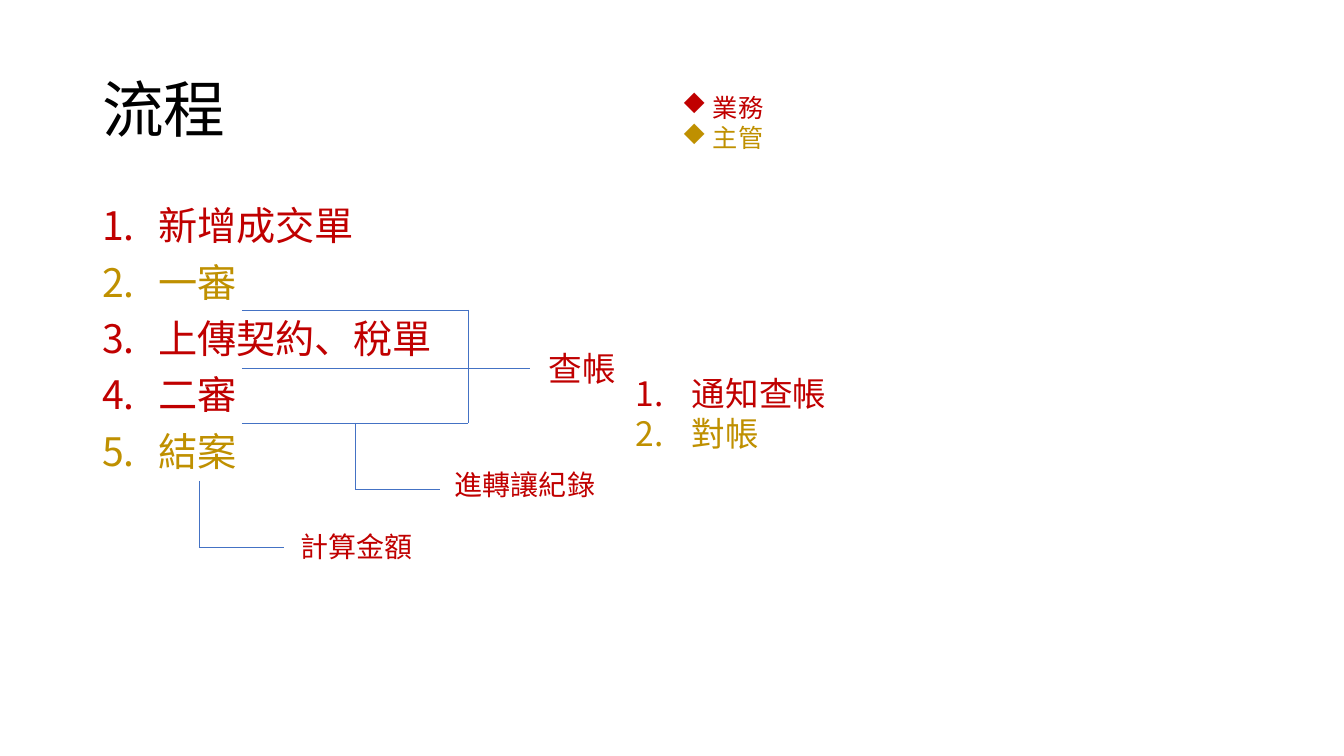
from dataclasses import dataclass

from lxml import etree
from pptx import Presentation
from pptx import util as u
from pptx.dml.color import RGBColor
from pptx.enum import shapes, text
from pptx.oxml import ns

PIXEL = 914400 / 100.8


@dataclass(frozen=True)
class Theme:
    """Colours, font and type sizes of the slide."""
    black: RGBColor = RGBColor(0x00, 0x00, 0x00)
    sales: RGBColor = RGBColor(0xC0, 0x00, 0x00)
    manager: RGBColor = RGBColor(0xBF, 0x90, 0x00)
    line: RGBColor = RGBColor(0x44, 0x72, 0xC4)
    font: str = "Calibri"
    title: int = 44
    body: int = 28
    branch: int = 24
    note: int = 20
    legend: int = 18


theme = Theme()
NUMBERS = [("buFont", {"typeface": "+mj-lt"}), ("buAutoNum", {"type": "arabicPeriod"})]
DIAMONDS = [("buFont", {"typeface": "Wingdings"}), ("buChar", {"char": "u"})]


def px(*lengths):
    """Turn pixels into a list of EMU lengths."""
    return [u.Emu(round(length * PIXEL)) for length in lengths]


def write(shape, box, lines, size, bullet=(), indent=0, spacing=1.0, before=0):
    """Place a shape and fill it with (wording, colour) paragraphs."""
    shape.left, shape.top, shape.width, shape.height = px(*box)
    frame = shape.text_frame
    frame.word_wrap = True
    frame.auto_size = text.MSO_AUTO_SIZE.NONE
    frame.text = "\n".join(wording for wording, _ in lines)
    for paragraph, (_, colour) in zip(frame.paragraphs, lines):
        properties = paragraph._p.get_or_add_pPr()
        if bullet:
            margin = px(indent)[0]
            properties.set("marL", str(margin))
            properties.set("indent", str(-margin))
        for tag, attributes in bullet:
            etree.SubElement(properties, ns.qn(f"a:{tag}"), attributes)
        paragraph.alignment = text.PP_ALIGN.LEFT
        paragraph.line_spacing = spacing
        paragraph.space_before = u.Pt(before)
        paragraph.font.name = theme.font
        paragraph.font.size = u.Pt(size)
        paragraph.font.color.rgb = colour


presentation = Presentation()
presentation.slide_width, presentation.slide_height = px(1344, 756)
slide = presentation.slides.add_slide(presentation.slide_layouts[1])

# Title and main steps
title, steps = slide.placeholders
write(title, (92, 40, 1159, 146), [("流程", theme.black)], theme.title, spacing=0.9)
title.text_frame.vertical_anchor = text.MSO_ANCHOR.MIDDLE
write(steps, (92, 202, 1159, 480), [
    ("新增成交單", theme.sales),
    ("一審", theme.manager),
    ("上傳契約、稅單", theme.sales),
    ("二審", theme.sales),
    ("結案", theme.manager),
], theme.body, NUMBERS, indent=56, spacing=0.9, before=10)

# Legend, audit branch and notes
legend = [("業務", theme.sales), ("主管", theme.manager)]
audit_steps = [("通知查帳", theme.sales), ("對帳", theme.manager)]
for box, lines, size, bullet, indent in [
    ((672, 87, 221, 72), legend, theme.legend, DIAMONDS, 31),
    ((539, 343, 155, 50), [("查帳", theme.sales)], theme.branch, (), 0),
    ((626, 368, 395, 92), audit_steps, theme.branch, NUMBERS, 56),
    ((445, 463, 214, 44), [("進轉讓紀錄", theme.sales)], theme.note, (), 0),
    ((291, 525, 214, 44), [("計算金額", theme.sales)], theme.note, (), 0),
]:
    write(slide.shapes.add_textbox(*px(*box)), box, lines, size, bullet, indent)

# Bracket after steps 2 to 4, then an elbow down to each note
bracket_left, bracket_right = 242, 468
bracket_rows = [310, 368, 423]
lines = [(bracket_left, y, bracket_right, y) for y in bracket_rows]
lines += [(bracket_right, bracket_rows[0], bracket_right, bracket_rows[-1]),
          (459, bracket_rows[1], 530, bracket_rows[1])]
elbow_width, elbow_height = 85, 66
for x, y in [(355, bracket_rows[-1]), (199, 481)]:
    lines += [(x, y, x, y + elbow_height),
              (x, y + elbow_height, x + elbow_width, y + elbow_height)]
for ends in lines:
    connector = slide.shapes.add_connector(shapes.MSO_CONNECTOR.STRAIGHT, *px(*ends))
    connector.line.color.rgb = theme.line
    connector.line.width = u.Pt(0.5)
    etree.SubElement(connector._element.spPr, ns.qn("a:effectLst"))

presentation.save("out.pptx")
